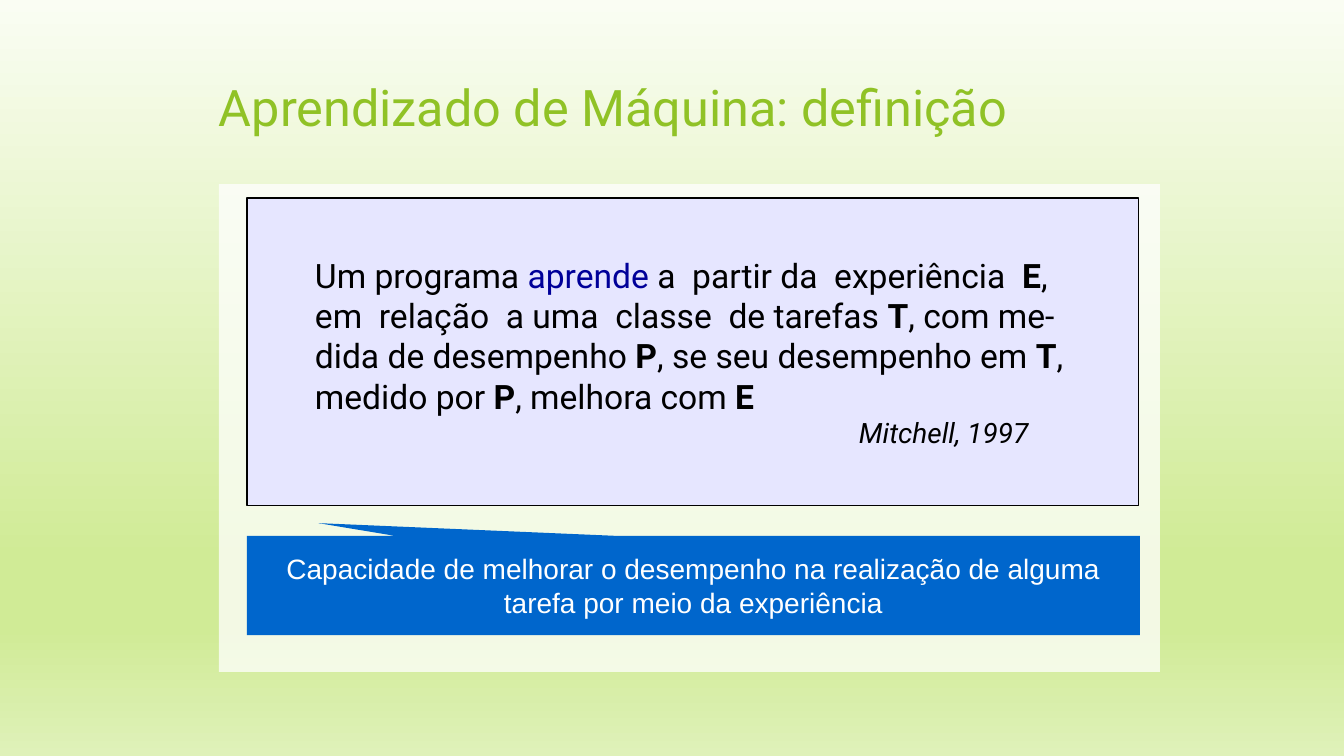
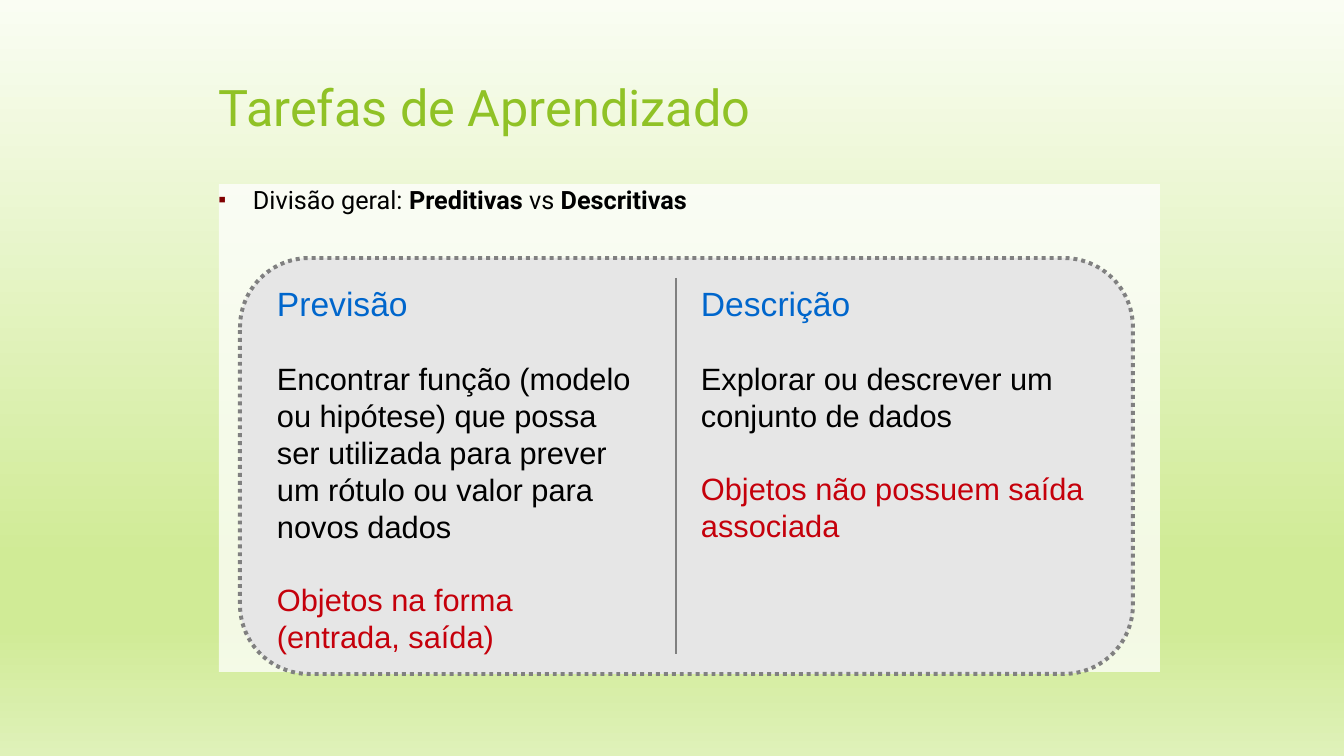
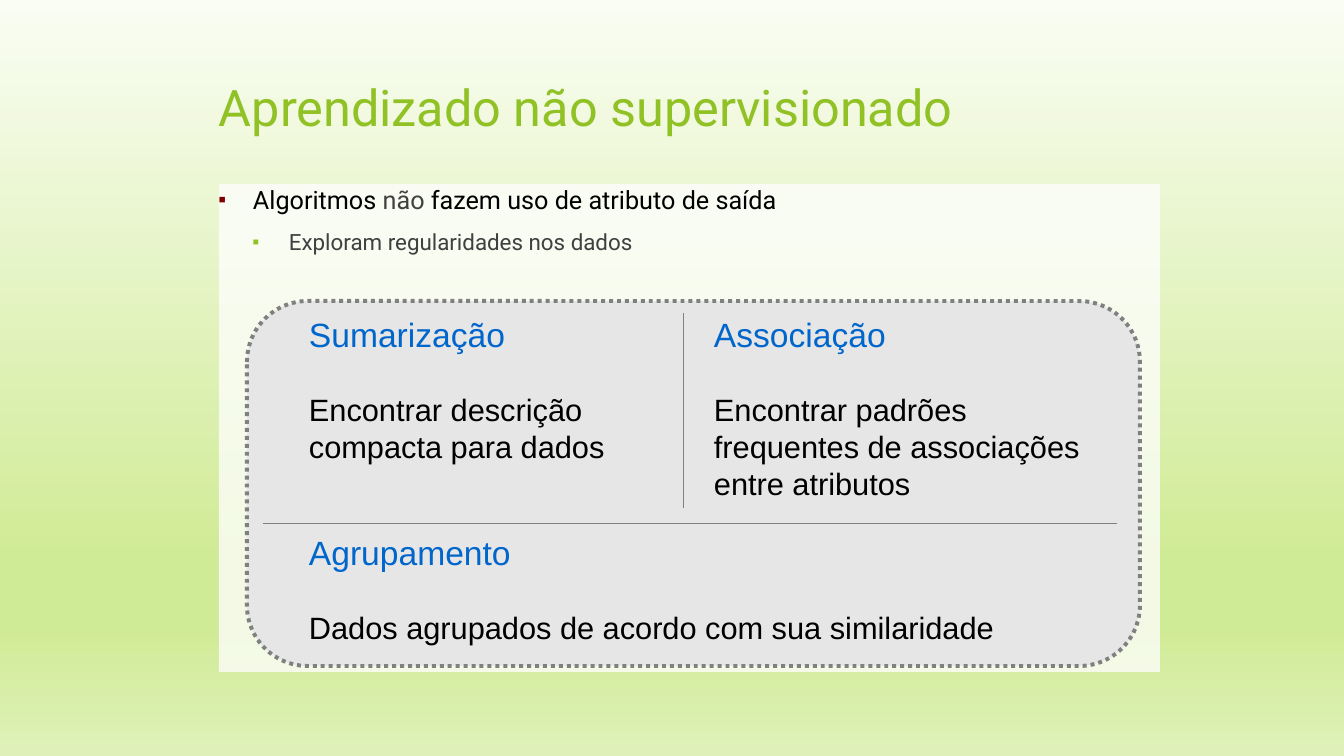
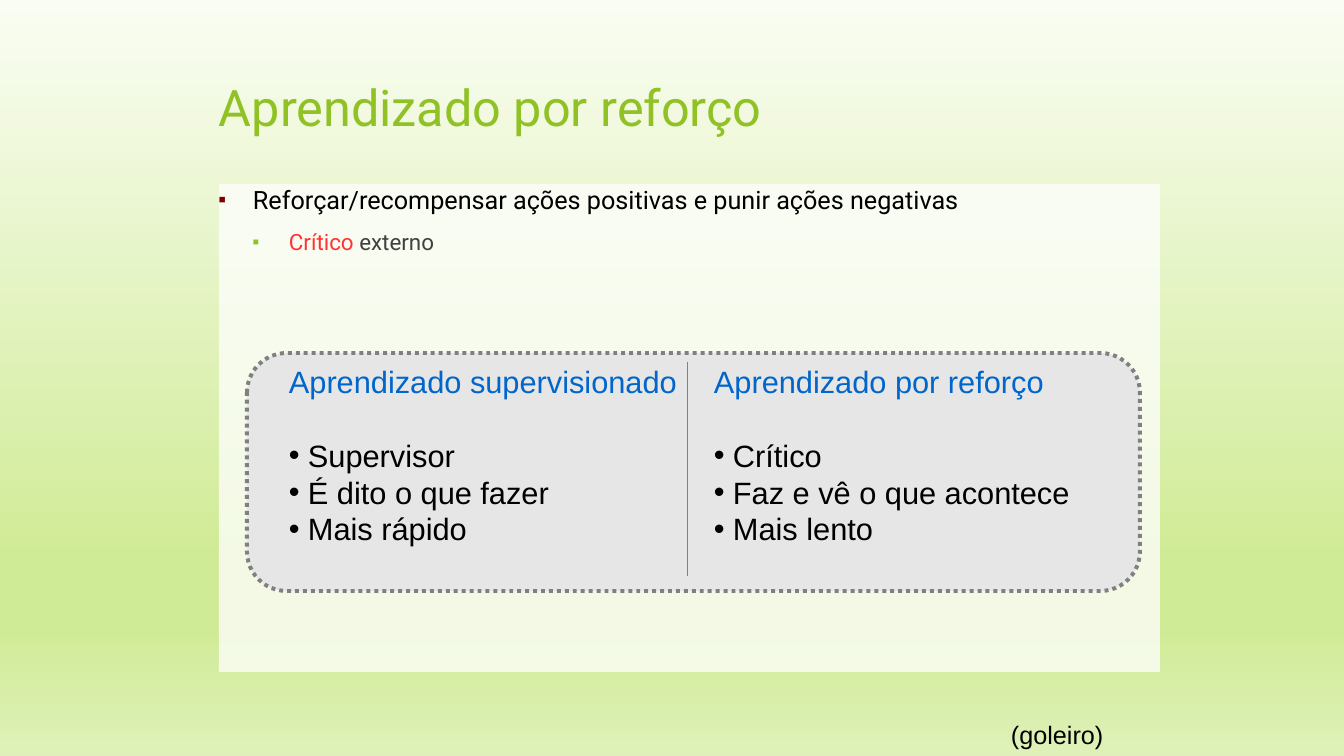
import pptx
import pptx.util
import pptx.dml.color
import pptx.enum.dml
import pptx.enum.shapes
import pptx.enum.text
import pptx.oxml
import pptx.oxml.ns
import lxml.etree


class Theme:
    head, body = "Roboto", "Arial"
    green, blue, navy = "90C226", "0066CC", "000099"
    black, gray, white = "000000", "404040", "FFFFFF"
    maroon, red, coral = "800000", "C5000B", "FF3333"
    lilac, silver, edge = "E6E6FF", "E6E6E6", "808080"
    sky = [(0, "FAFDF3"), (74, "D0EB96"), (83, "D0EB96"), (100, "DFF1B9")]
    big, large, mid, note, lead, small = 36, 24, 22, 20, 18, 16
    gap = 26


PX = 914400 / 100.8
KIND = pptx.enum.shapes.MSO_SHAPE
SIDE = pptx.enum.text.PP_ALIGN
MIDDLE = pptx.enum.text.MSO_ANCHOR.MIDDLE
rgb = pptx.dml.color.RGBColor.from_string
qn = pptx.oxml.ns.qn
sub = lxml.etree.SubElement


def block(slide, spot, kind=None, fill=None, edge=None, width=0.75, pad=(10, 5), anchor=None):
    """Add a text box, or a preset shape when a kind is given."""
    place = [round(n * PX) for n in spot]
    if kind is None:
        shape = slide.shapes.add_textbox(*place)
    else:
        shape = slide.shapes.add_shape(kind, *place)
        shape.shadow.inherit = False
        shape.fill.solid()
        shape.fill.fore_color.rgb = rgb(fill)
        if edge:
            shape.line.color.rgb = rgb(edge)
            shape.line.width = pptx.util.Pt(width)
        else:
            shape.line.fill.background()
    frame = shape.text_frame
    frame.word_wrap = True
    frame.margin_left = frame.margin_right = round(pad[0] * PX)
    frame.margin_top = frame.margin_bottom = round(pad[1] * PX)
    frame.vertical_anchor = anchor or pptx.enum.text.MSO_ANCHOR.TOP
    return shape


def write(shape, *runs, size, font=Theme.body, tint=Theme.black, italic=False,
          align=SIDE.LEFT, gap=0, left=0, hang=0, mark=None, dye=Theme.black, scale=100):
    """Add one paragraph; a run is a text or (text, tint, bold)."""
    frame = shape.text_frame
    para = frame.add_paragraph() if frame.text else frame.paragraphs[0]
    para.alignment = align
    para.space_before = pptx.util.Pt(gap)
    props = para._p.get_or_add_pPr()
    props.set("marL", str(round(left * PX)))
    props.set("indent", str(round(-hang * PX)))
    if mark:
        sub(sub(props, qn("a:buClr")), qn("a:srgbClr"), val=dye)
        sub(props, qn("a:buSzPct"), val=str(scale * 1000))
        sub(props, qn("a:buFont"), typeface=Theme.body)
        sub(props, qn("a:buChar"), char=mark)
    for part in runs:
        words, color, bold = (part, tint, False) if isinstance(part, str) else part
        run = para.add_run()
        run.text = words
        run.font.name, run.font.size = font, pptx.util.Pt(size)
        run.font.bold, run.font.italic = bold, italic
        run.font.color.rgb = rgb(color)


deck = pptx.Presentation()
deck.slide_width, deck.slide_height = round(1344 * PX), round(756 * PX)

# Shared background on the master
master = deck.slide_master
master.background.fill.gradient()
master.background.fill.gradient_angle = 270
stops = master.element.find(".//" + qn("a:gsLst"))
for old in list(stops):
    stops.remove(old)
for pos, color in Theme.sky:
    sub(sub(stops, qn("a:gs"), pos=str(pos * 1000)), qn("a:srgbClr"), val=color)

# Content: title, bullets (level, runs), frame, columns, rules
HEAD = dict(size=Theme.large, tint=Theme.blue)
HEAD_MID = dict(size=Theme.mid, tint=Theme.blue)
TEXT = dict(size=Theme.mid, gap=Theme.gap)
ALERT = dict(TEXT, tint=Theme.red)
ITEM = dict(size=Theme.mid, left=19, hang=19, mark="•")
FIRST = dict(ITEM, gap=Theme.gap)
LEVELS = [
    dict(size=Theme.lead, left=34, hang=34, dye=Theme.maroon),
    dict(size=Theme.small, left=70, hang=36, dye=Theme.green, tint=Theme.gray),
]

pages = [
    dict(title="Aprendizado de Máquina: definição"),
    dict(
        title="Tarefas de Aprendizado",
        points=[(0, ["Divisão geral: ", ("Preditivas", Theme.black, True), " vs ",
                     ("Descritivas", Theme.black, True)])],
        frame=(240, 258, 893, 416),
        cols=[
            ((267, 278, 377, 383), [
                ("Previsão", HEAD),
                ("Encontrar função (modelo ou hipótese) que possa ser utilizada "
                 "para prever um rótulo ou valor para novos dados", TEXT),
                ("Objetos na forma (entrada, saída)", ALERT)]),
            ((691, 278, 409, 338), [
                ("Descrição", HEAD),
                ("Explorar ou descrever um conjunto de dados", TEXT),
                ("Objetos não possuem saída associada", ALERT)]),
        ],
        rules=[(676, 278, 676, 654)],
    ),
    dict(
        title="Aprendizado não supervisionado",
        points=[(0, ["Algoritmos ", ("não", Theme.gray, False),
                     " fazem uso de atributo de saída"]),
                (1, ["Exploram regularidades nos dados"])],
        frame=(247, 301, 893, 365),
        cols=[
            ((299, 309, 377, 205), [
                ("Sumarização", HEAD),
                ("Encontrar descrição compacta para dados", TEXT)]),
            ((704, 309, 409, 205), [
                ("Associação", HEAD),
                ("Encontrar padrões frequentes de associações entre atributos", TEXT)]),
            ((299, 527, 801, 135), [
                ("Agrupamento", HEAD),
                ("Dados agrupados de acordo com sua similaridade", TEXT)]),
        ],
        rules=[(684, 313, 684, 508), (263, 524, 1117, 524)],
    ),
    dict(
        title="Aprendizado por reforço",
        points=[(0, ["Reforçar/recompensar ações positivas e punir ações negativas"]),
                (1, [("Crítico", Theme.coral, False), " externo"])],
        frame=(247, 353, 893, 238),
        cols=[
            ((279, 358, 409, 195), [
                ("Aprendizado supervisionado", HEAD_MID), ("Supervisor", FIRST),
                ("É dito o que fazer", ITEM), ("Mais rápido", ITEM)]),
            ((704, 358, 409, 195), [
                ("Aprendizado por reforço", HEAD_MID), ("Crítico", FIRST),
                ("Faz e vê o que acontece", ITEM), ("Mais lento", ITEM)]),
        ],
        rules=[(688, 362, 688, 576)],
    ),
]

slides = []
for page in pages:
    slide = deck.slides.add_slide(deck.slide_layouts[6])
    slides.append(slide)

    # Panel, title and bullets
    panel = block(slide, (219, 184, 941, 488), KIND.RECTANGLE, Theme.white, pad=(0, 0))
    sub(panel._element.spPr.find(".//" + qn("a:srgbClr")), qn("a:alpha"), val="75000")
    title = block(slide, (219, 36, 906, 141), pad=(0, 0), anchor=MIDDLE)
    write(title, page["title"], size=Theme.big, font=Theme.head, tint=Theme.green)
    for level, runs in page.get("points", []):
        write(panel, *runs, font=Theme.head, gap=10, mark="■", scale=45, **LEVELS[level])

    # Dotted frame with its columns and rules
    if "frame" in page:
        frame = block(slide, page["frame"], KIND.FLOWCHART_ALTERNATE_PROCESS,
                      Theme.silver, Theme.edge, 2.83)
        frame.line.dash_style = pptx.enum.dml.MSO_LINE.ROUND_DOT
    for spot, paras in page.get("cols", []):
        col = block(slide, spot)
        for words, look in paras:
            write(col, words, **look)
    for ends in page.get("rules", []):
        rule = slide.shapes.add_connector(pptx.enum.shapes.MSO_CONNECTOR.STRAIGHT,
                                          *[round(n * PX) for n in ends])
        rule.line.color.rgb = rgb(Theme.edge)
        rule.line.width = pptx.util.Pt(0.75)
        sub(rule._element.spPr, qn("a:effectLst"))

# Slide 1: quotation and callout
E, T, P = [(mark, Theme.black, True) for mark in "ETP"]
quote = [
    ["Um programa ", ("aprende", Theme.navy, False), " a  partir da  experiência  ", E, ","],
    ["em  relação  a uma  classe  de tarefas ", T, ", com me-"],
    ["dida de desempenho ", P, ", se seu desempenho em ", T, ","],
    ["medido por ", P, ", melhora com ", E],
]
card = block(slides[0], (247, 198, 892, 308), KIND.RECTANGLE, Theme.lilac, Theme.black,
             pad=(68, 0), anchor=MIDDLE)
for runs in quote:
    write(card, *runs, size=Theme.large, font=Theme.head)
write(card, "Mitchell, 1997", size=Theme.note, font=Theme.head, italic=True, left=544)

call = block(slides[0], (247, 536, 893, 99), KIND.RECTANGULAR_CALLOUT, Theme.blue, anchor=MIDDLE)
call.adjustments[0], call.adjustments[1] = -0.42, -0.63
write(call, "Capacidade de melhorar o desempenho na realização de alguma tarefa "
      "por meio da experiência", size=Theme.note, tint=Theme.white, align=SIDE.CENTER)

# Slide 4: side remark
aside = block(slides[3], (1001, 714, 140, 40))
write(aside, "(goleiro)", size=Theme.lead)

deck.save("out.pptx")
